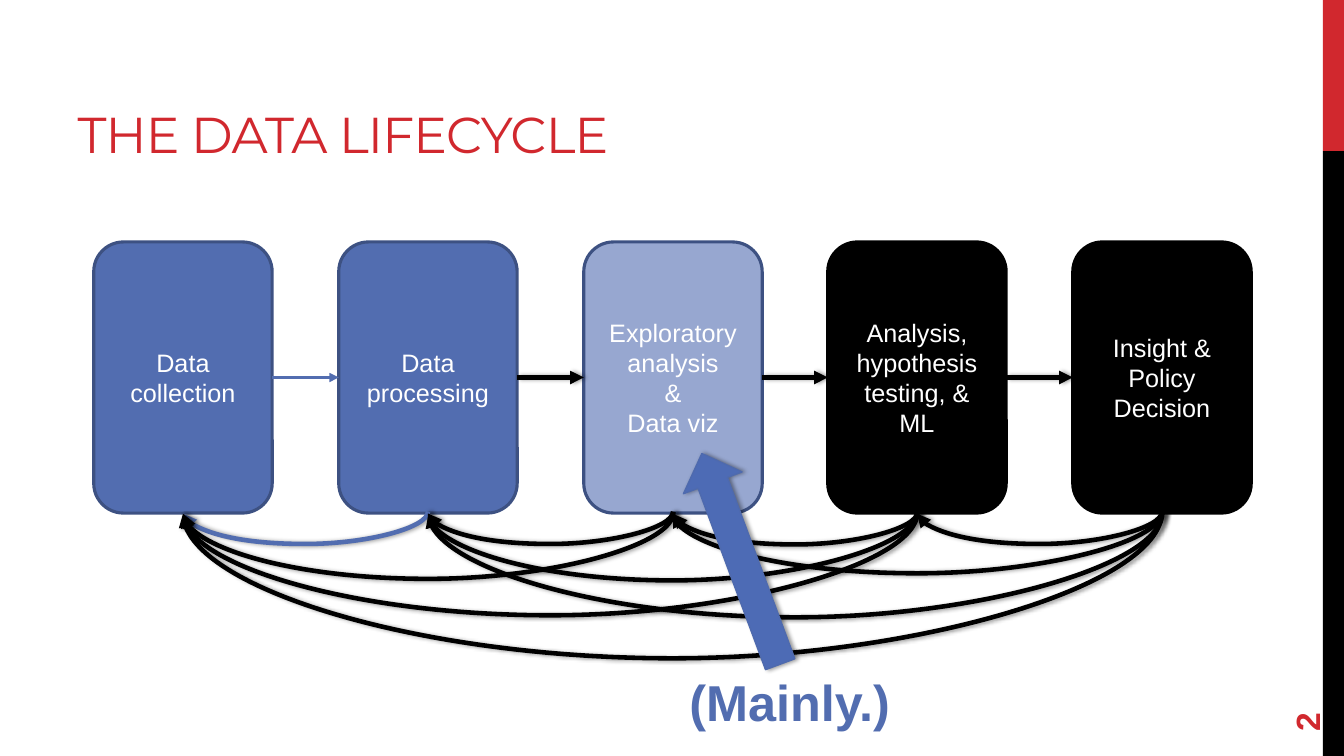
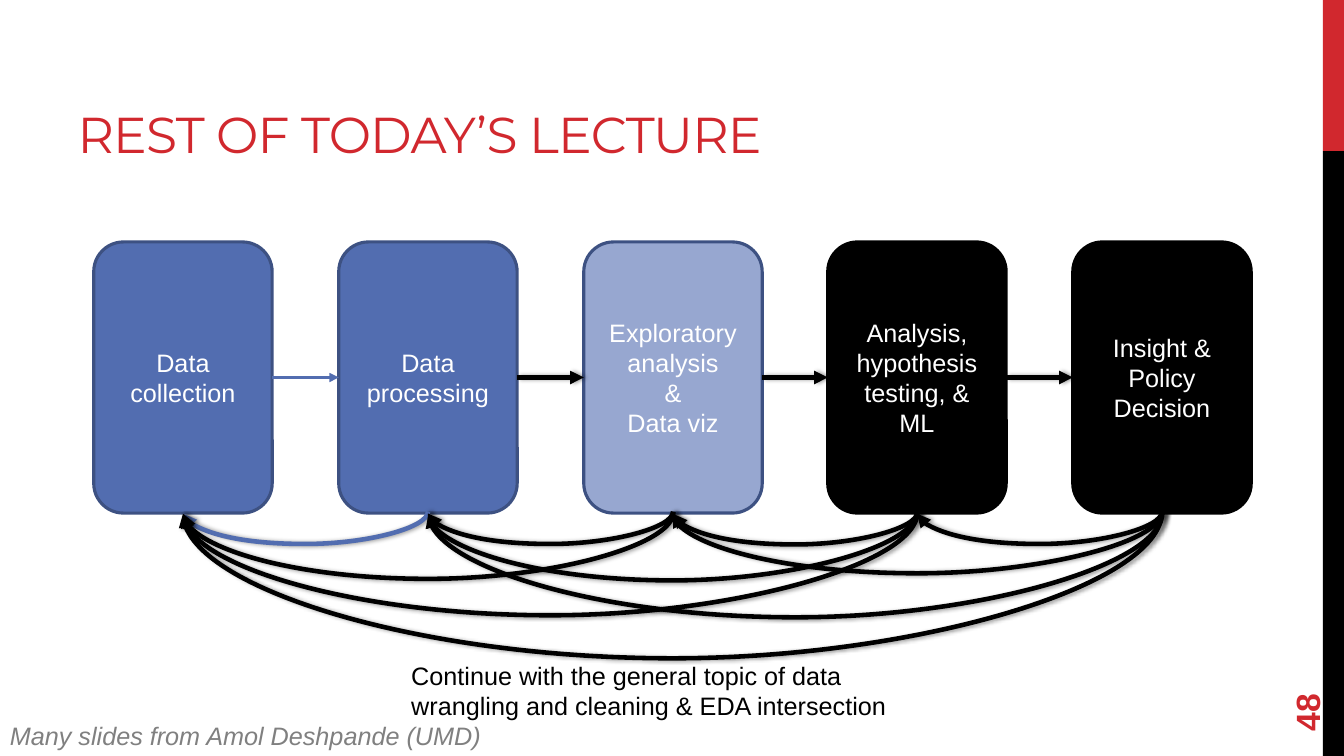
from dataclasses import dataclass

from lxml.etree import SubElement
from pptx import Presentation
from pptx.dml.color import RGBColor
from pptx.enum.shapes import MSO_CONNECTOR as Connect, MSO_SHAPE as Preset
from pptx.enum.text import MSO_ANCHOR as Anchor, MSO_AUTO_SIZE as AutoSize, PP_ALIGN as Align
from pptx.oxml.ns import qn
from pptx.shapes.autoshape import Shape
from pptx.shapes.connector import Connector
from pptx.slide import Slide, SlideLayout
from pptx.util import Emu, Pt

RED = RGBColor(0xD1, 0x28, 0x2E)
BLACK = RGBColor(0x00, 0x00, 0x00)
WHITE = RGBColor(0xFF, 0xFF, 0xFF)
BLUE = RGBColor(0x52, 0x6D, 0xB0)
DARK_BLUE = RGBColor(0x3D, 0x51, 0x82)
PALE_BLUE = RGBColor(0x97, 0xA7, 0xD0)
ARROW_BLUE = RGBColor(0x4D, 0x6B, 0xB5)
ARROW_EDGE = RGBColor(0x4E, 0x6A, 0xAE)
GRAY = RGBColor(0x80, 0x80, 0x80)

BODY_FONT = "Arial"
TITLE_FONT = "Montserrat"
EMU_PER_PX = 9144

BOX_LEFT, BOX_TOP, BOX_WIDTH, BOX_HEIGHT = 93, 240, 177, 269
BOX_SPREAD = 971
ARC_TOP, ARC_RISE = 508, 2


@dataclass(frozen=True)
class Area:
    left: int
    top: int
    width: int
    height: int

    def emu(self) -> tuple[Emu, ...]:
        return tuple(px(n) for n in (self.left, self.top, self.width, self.height))


@dataclass(frozen=True)
class TextStyle:
    size: int
    color: RGBColor
    font: str = BODY_FONT
    bold: bool = False
    italic: bool = False


@dataclass(frozen=True)
class Stage:
    lines: tuple[str, ...]
    fill: RGBColor
    edge: RGBColor


@dataclass(frozen=True)
class Feedback:
    source: int
    target: int
    depth: int
    color: RGBColor = BLACK


TITLE_STYLE = TextStyle(36, RED, TITLE_FONT)
NUMBER_STYLE = TextStyle(24, RED, bold=True)
STAGE_STYLE = TextStyle(18, WHITE)
CALLOUT_STYLE = TextStyle(36, BLUE, bold=True)
NOTE_STYLE = TextStyle(18, BLACK)
CREDIT_STYLE = TextStyle(18, GRAY, italic=True)

STAGES = (
    Stage(("Data collection",), BLUE, DARK_BLUE),
    Stage(("Data processing",), BLUE, DARK_BLUE),
    Stage(("Exploratory analysis", "&", "Data viz"), PALE_BLUE, DARK_BLUE),
    Stage(("Analysis, hypothesis testing, & ML",), BLACK, BLACK),
    Stage(("Insight & Policy Decision",), BLACK, BLACK),
)
FEEDBACKS = (
    Feedback(1, 0, 32, BLUE),
    Feedback(2, 1, 32),
    Feedback(2, 0, 66),
    Feedback(3, 2, 32),
    Feedback(3, 1, 68),
    Feedback(3, 0, 102),
    Feedback(4, 3, 32),
    Feedback(4, 2, 61),
    Feedback(4, 1, 104),
    Feedback(4, 0, 145),
)


def px(length: int) -> Emu:
    return Emu(length * EMU_PER_PX)


def box_left(index: int) -> int:
    return BOX_LEFT + round(index * BOX_SPREAD / (len(STAGES) - 1))


def write(shape: Shape, lines: tuple[str, ...], style: TextStyle, align: Align = Align.LEFT) -> None:
    frame = shape.text_frame
    for index, line in enumerate(lines):
        paragraph = frame.add_paragraph() if index else frame.paragraphs[0]
        paragraph.alignment = align
        run = paragraph.add_run()
        run.text = line
        run.font.name = style.font
        run.font.size = Pt(style.size)
        run.font.bold = style.bold
        run.font.italic = style.italic
        run.font.color.rgb = style.color


def add_text(slide: Slide, area: Area, text: str, style: TextStyle) -> Shape:
    box = slide.shapes.add_textbox(*area.emu())
    box.text_frame.word_wrap = True
    write(box, (text,), style)
    return box


def add_filled(slide: Slide, preset: Preset, area: Area, fill: RGBColor) -> Shape:
    shape = slide.shapes.add_shape(preset, *area.emu())
    shape.shadow.inherit = False
    shape.fill.solid()
    shape.fill.fore_color.rgb = fill
    shape.line.fill.background()
    return shape


def set_edge(shape: Shape, color: RGBColor, width: float) -> None:
    shape.line.color.rgb = color
    shape.line.width = Pt(width)


def set_effects(shape: Shape | Connector, shadowed: bool) -> None:
    properties = shape.element.spPr
    effects = properties.find(qn("a:effectLst"))
    if effects is None:
        effects = SubElement(properties, qn("a:effectLst"))
    if shadowed:
        shadow = SubElement(effects, qn("a:outerShdw"), blurRad="40000", dist="23000", dir="0", rotWithShape="0")
        color = SubElement(shadow, qn("a:srgbClr"), val=str(BLACK))
        SubElement(color, qn("a:alpha"), val="40000")


def style_connector(connector: Connector, color: RGBColor, width: float, shadowed: bool) -> None:
    connector.line.color.rgb = color
    connector.line.width = Pt(width)
    SubElement(connector.line._get_or_add_ln(), qn("a:tailEnd"), type="triangle")
    set_effects(connector, shadowed)


def add_stage(slide: Slide, index: int, stage: Stage) -> Shape:
    area = Area(box_left(index), BOX_TOP, BOX_WIDTH, BOX_HEIGHT)
    box = add_filled(slide, Preset.ROUNDED_RECTANGLE, area, stage.fill)
    set_edge(box, stage.edge, 2.25)
    box.text_frame.word_wrap = True
    box.text_frame.vertical_anchor = Anchor.MIDDLE
    write(box, stage.lines, STAGE_STYLE, Align.CENTER)
    return box


def add_flow(slide: Slide, before: Shape, after: Shape, first: bool) -> None:
    flow = slide.shapes.add_connector(Connect.STRAIGHT, 0, 0, 0, 0)
    flow.begin_connect(before, 3)
    flow.end_connect(after, 1)
    style_connector(flow, BLUE if first else BLACK, 2.25 if first else 3.25, not first)


def add_feedback(slide: Slide, feedback: Feedback) -> None:
    start, end = (box_left(i) + BOX_WIDTH // 2 + 1 for i in (feedback.source, feedback.target))
    span = start - end
    left = (start + end - ARC_RISE) // 2
    top = ARC_TOP + (ARC_RISE - span) // 2
    arc = slide.shapes.add_connector(
        Connect.CURVE, px(left), px(top), px(left + ARC_RISE), px(top + span)
    )
    properties = arc.element.spPr
    properties.find(qn("a:xfrm")).set("rot", "5400000")
    geometry = properties.find(qn("a:prstGeom"))
    guides = geometry.find(qn("a:avLst"))
    if guides is None:
        guides = SubElement(geometry, qn("a:avLst"))
    bend = feedback.depth * 100000 // ARC_RISE
    SubElement(guides, qn("a:gd"), name="adj1", fmla=f"val {bend}")
    style_connector(arc, feedback.color, 3.25, True)


def add_lifecycle(slide: Slide) -> None:
    boxes = [add_stage(slide, index, stage) for index, stage in enumerate(STAGES)]
    for before, after in zip(boxes, boxes[1:]):
        add_flow(slide, before, after, before is boxes[0])
    for feedback in FEEDBACKS:
        add_feedback(slide, feedback)


def prepare_layout(layout: SlideLayout, slide: Slide) -> None:
    for placeholder in list(layout.placeholders)[1:]:
        placeholder.element.getparent().remove(placeholder.element)
    title = layout.placeholders[0]
    title.left, title.top, title.width, title.height = Area(67, 17, 844, 150).emu()
    title.text_frame.vertical_anchor = Anchor.BOTTOM
    title.text_frame.auto_size = AutoSize.NONE
    for top, height, color in ((0, 150, RED), (150, 600, BLACK)):
        band = add_filled(slide, Preset.RECTANGLE, Area(1312, top, 21, height), color)
        layout.shapes.element.append(band.element)


def fill_slide(slide: Slide, title: str, number: str) -> None:
    write(slide.shapes.title, (title,), TITLE_STYLE)
    run = slide.shapes.title.text_frame.paragraphs[0].runs[0]
    run.font._element.set("spc", "-60")
    number_box = add_text(slide, Area(1224, 637, 144, 53), number, NUMBER_STYLE)
    number_box.rotation = 270
    number_box.text_frame.vertical_anchor = Anchor.MIDDLE
    add_lifecycle(slide)


def add_focus(slide: Slide) -> None:
    arrow = add_filled(slide, Preset.UP_ARROW, Area(704, 443, 62, 223), ARROW_BLUE)
    arrow.rotation = 339.6
    set_edge(arrow, ARROW_EDGE, 1)
    set_effects(arrow, True)
    add_text(slide, Area(674, 661, 390, 71), "(Mainly.)", CALLOUT_STYLE)


def main() -> None:
    presentation = Presentation()
    presentation.slide_width = px(1333)
    presentation.slide_height = px(750)
    layout = presentation.slide_layouts[5]

    lifecycle = presentation.slides.add_slide(layout)
    prepare_layout(layout, lifecycle)
    fill_slide(lifecycle, "THE DATA LIFECYCLE", "2")
    add_focus(lifecycle)

    lecture = presentation.slides.add_slide(layout)
    fill_slide(lecture, "REST OF TODAY’S LECTURE", "48")
    add_text(
        lecture,
        Area(398, 650, 538, 101),
        "Continue with the general topic of data wrangling and cleaning & EDA intersection",
        NOTE_STYLE,
    )
    add_text(lecture, Area(0, 710, 538, 40), "Many slides from Amol Deshpande (UMD)", CREDIT_STYLE)

    presentation.save("out.pptx")


if __name__ == "__main__":
    main()
